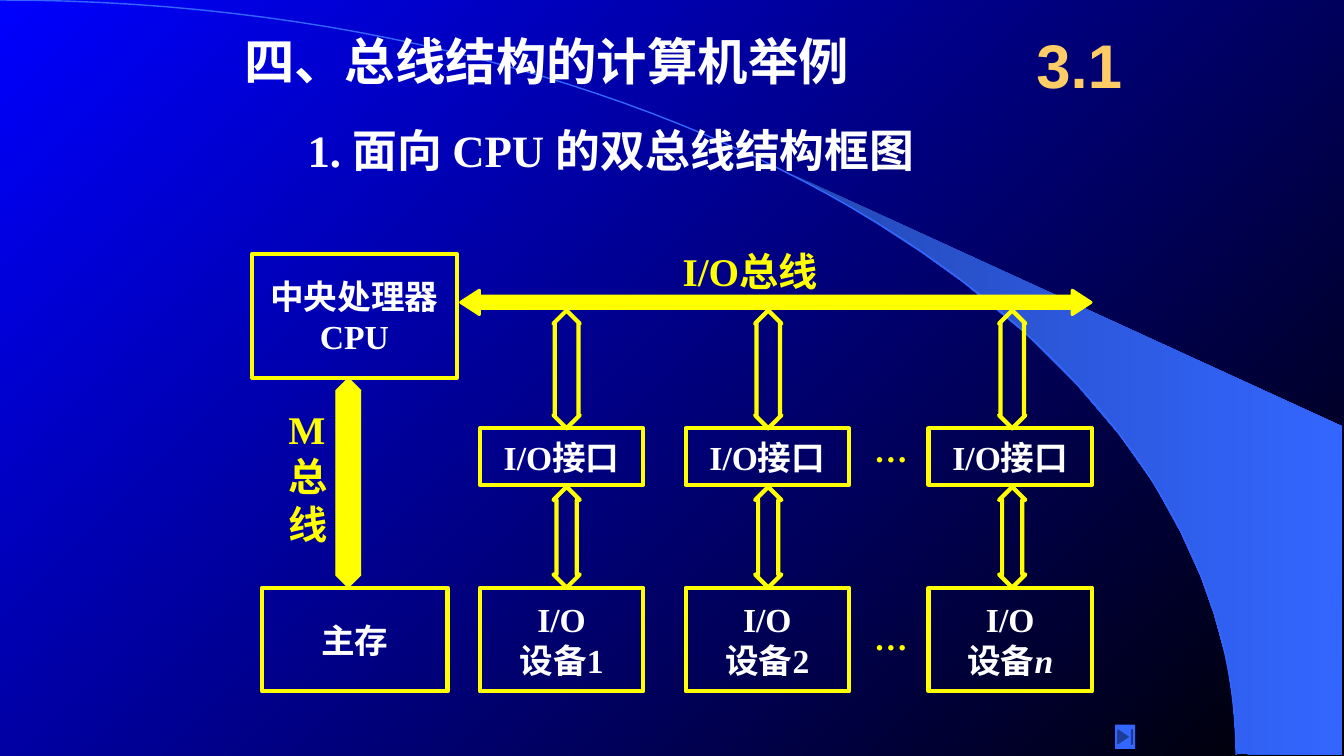
from lxml import etree
from pptx import Presentation
from pptx import util as u
from pptx.dml.color import RGBColor
from pptx.enum import shapes, text
from pptx.oxml.ns import qn

COLUMNS, ROWS = 133.3, 75
CELL = u.Inches(0.1)
LATIN, CHINESE, NUMBER_FONT = "Times New Roman", "Noto Sans CJK SC", "Arial"
WHITE = RGBColor(0xFF, 0xFF, 0xFF)
YELLOW = RGBColor(0xFF, 0xFF, 0x00)
ORANGE = RGBColor(0xFF, 0xCC, 0x66)
BLUE = RGBColor(0x00, 0x00, 0xFF)
BLACK = RGBColor(0x00, 0x00, 0x00)
SKY = RGBColor(0x33, 0x66, 0xFF)
DEEP_SKY = RGBColor(0x24, 0x49, 0xB6)

LEFT, CENTER = text.PP_ALIGN.LEFT, text.PP_ALIGN.CENTER
KINDS = shapes.MSO_SHAPE

INTERFACE_TOP, INTERFACE_HEIGHT = 42.5, 5.6
DEVICE_TOP, DEVICE_HEIGHT = 58.3, 10.3
UNIT_WIDTH = 16.2
UNITS = [
    (47.6, 54.9, ["设备1"]),
    (68, 74.9, ["设备2"]),
    (92.1, 99.1, ["设备", "n"]),
]
SWOOSH = [
    (122.7, 74.8), (133.1, 74.9), (133.1, 42.3), (78.6, 17.3), (83.2, 19.9),
    (87, 22.2), (91.3, 25), (95.5, 28), (101.6, 33), (107, 38.4),
    (111, 43.1), (114.4, 47.9), (117.1, 52.8), (119.1, 57.2),
    (120.4, 60.9), (121.7, 65.6), (122.3, 69.6),
]


def cells(*lengths):
    return [round(length * CELL) for length in lengths]


def set_gradient(fill, start, end, angle):
    fill.gradient()
    fill.gradient_angle = angle
    for stop, color, position in zip(fill.gradient_stops, (start, end), (0, 1)):
        stop.color.rgb = color
        stop.position = position


def add_run(paragraph, words, size, color, font=LATIN, italic=False):
    run = paragraph.add_run()
    run.text = words
    run.font.size = u.Pt(size)
    run.font.bold = True
    run.font.italic = italic
    run.font.color.rgb = color
    run.font.name = font
    latin = run._r.rPr.find(qn("a:latin"))
    east_asian = etree.Element(qn("a:ea"), typeface=CHINESE)
    latin.addnext(east_asian)


def write(shape, lines, size, color, align=CENTER, font=LATIN, inset=0):
    frame = shape.text_frame
    frame.word_wrap = True
    frame.auto_size = text.MSO_AUTO_SIZE.NONE
    frame.vertical_anchor = text.MSO_ANCHOR.MIDDLE
    frame.margin_left = frame.margin_right = round(inset * CELL)
    frame.margin_top = frame.margin_bottom = 0
    for index, line in enumerate(lines):
        paragraph = frame.add_paragraph() if index else frame.paragraphs[0]
        paragraph.alignment = align
        paragraph.space_before = u.Pt(0)
        paragraph.line_spacing = u.Pt(round(size * 1.2))
        for words in line:
            add_run(paragraph, words, size, color, font, words == "n")


def add_preset(slide, kind, place, fill=None, line=YELLOW, width=3, adjustments=()):
    shape = slide.shapes.add_shape(kind, *cells(*place))
    shape.shadow.inherit = False
    if fill is None:
        shape.fill.background()
    else:
        shape.fill.solid()
        shape.fill.fore_color.rgb = fill
    if line is None:
        shape.line.fill.background()
    else:
        shape.line.color.rgb = line
        shape.line.width = u.Pt(width)
    for index, value in enumerate(adjustments):
        shape.adjustments[index] = value
    return shape


def add_box(slide, place, lines):
    write(add_preset(slide, KINDS.RECTANGLE, place), lines, 24, WHITE)


def add_label(slide, place, lines, size, color, align=LEFT, font=LATIN):
    write(slide.shapes.add_textbox(*cells(*place)), lines, size, color, align, font)


def add_outline(slide, points, close):
    points = [cells(*point) for point in points]
    builder = slide.shapes.build_freeform(*points[0])
    builder.add_line_segments(points[1:], close=close)
    shape = builder.convert_to_shape()
    shape.shadow.inherit = False
    return shape


def add_backdrop(slide):
    set_gradient(slide.background.fill, BLUE, BLACK, 315)
    swoosh = add_outline(slide, SWOOSH, True)
    set_gradient(swoosh.fill, DEEP_SKY, SKY, 0)
    swoosh.line.fill.background()
    curve = []
    for step in range(61):
        t = step / 60
        s = 1 - t
        across = 3 * s * s * t * 67.7 + (3 * s * t * t + t ** 3) * 122.6
        down = 3 * s * t * t * 33.5 + t ** 3 * 74.9
        curve.append((across, down))
    arc = add_outline(slide, curve, False)
    arc.fill.background()
    arc.line.color.rgb = SKY
    arc.line.width = u.Pt(1)


def fill_placeholder(slide, placeholder, place, words, size):
    placeholder.left, placeholder.top, placeholder.width, placeholder.height = cells(*place)
    slide.shapes._spTree.append(placeholder._element)
    properties = placeholder.text_frame.paragraphs[0]._p.get_or_add_pPr()
    properties.set("marL", "0")
    properties.set("indent", "0")
    etree.SubElement(properties, qn("a:buNone"))
    write(placeholder, [[words]], size, WHITE, LEFT, inset=1)


def add_buses(slide):
    add_label(slide, (67.7, 24.5, 19.8, 4.7), [["I/O", "总线"]], 28, YELLOW)
    add_preset(slide, KINDS.LEFT_RIGHT_ARROW, (45.7, 28.8, 62.5, 2.4),
               YELLOW, width=2.25, adjustments=(0.5, 0.77))
    add_label(slide, (28.6, 40.2, 4.7, 14), [["M"], ["总"], ["线"]], 28, YELLOW)
    add_preset(slide, KINDS.UP_DOWN_ARROW, (33.3, 37.5, 2.5, 20.8),
               YELLOW, width=0.75, adjustments=(0.5, 0.98))


def add_unit(slide, left, arrow_left, device):
    add_box(slide, (left, INTERFACE_TOP, UNIT_WIDTH, INTERFACE_HEIGHT), [["I/O接口"]])
    add_box(slide, (left, DEVICE_TOP, UNIT_WIDTH, DEVICE_HEIGHT), [["I/O"], device])
    for top, bottom, head in ((30.8, INTERFACE_TOP, 0.9), (48.3, DEVICE_TOP, 0.77)):
        add_preset(slide, KINDS.UP_DOWN_ARROW, (arrow_left, top, 2.6, bottom - top),
                   adjustments=(0.5, head))


def main():
    presentation = Presentation()
    presentation.slide_width, presentation.slide_height = cells(COLUMNS, ROWS)
    slide = presentation.slides.add_slide(presentation.slide_layouts[1])
    add_backdrop(slide)
    title, subtitle = slide.placeholders
    fill_placeholder(slide, title, (23.2, 2.5, 69.5, 7), "四、总线结构的计算机举例", 36)
    fill_placeholder(slide, subtitle, (29.5, 11.7, 69.6, 6.3),
                     "1. 面向 CPU 的双总线结构框图", 32)
    add_label(slide, (100.8, 1.7, 12.5, 9.2), [["3.1"]], 44, ORANGE, CENTER, NUMBER_FONT)
    add_box(slide, (25, 25.2, 20.3, 12.3), [["中央处理器"], ["CPU"]])
    add_box(slide, (26, DEVICE_TOP, 18.4, DEVICE_HEIGHT), [["主存"]])
    add_buses(slide)
    for unit in UNITS:
        add_unit(slide, *unit)
    for top in (INTERFACE_TOP, 61.2):
        add_label(slide, (86.7, top, 4.1, 4), [["…"]], 24, YELLOW)
    add_preset(slide, KINDS.ACTION_BUTTON_END, (110.6, 71.9, 2, 2.4), SKY, None)
    presentation.save("out.pptx")


if __name__ == "__main__":
    main()
